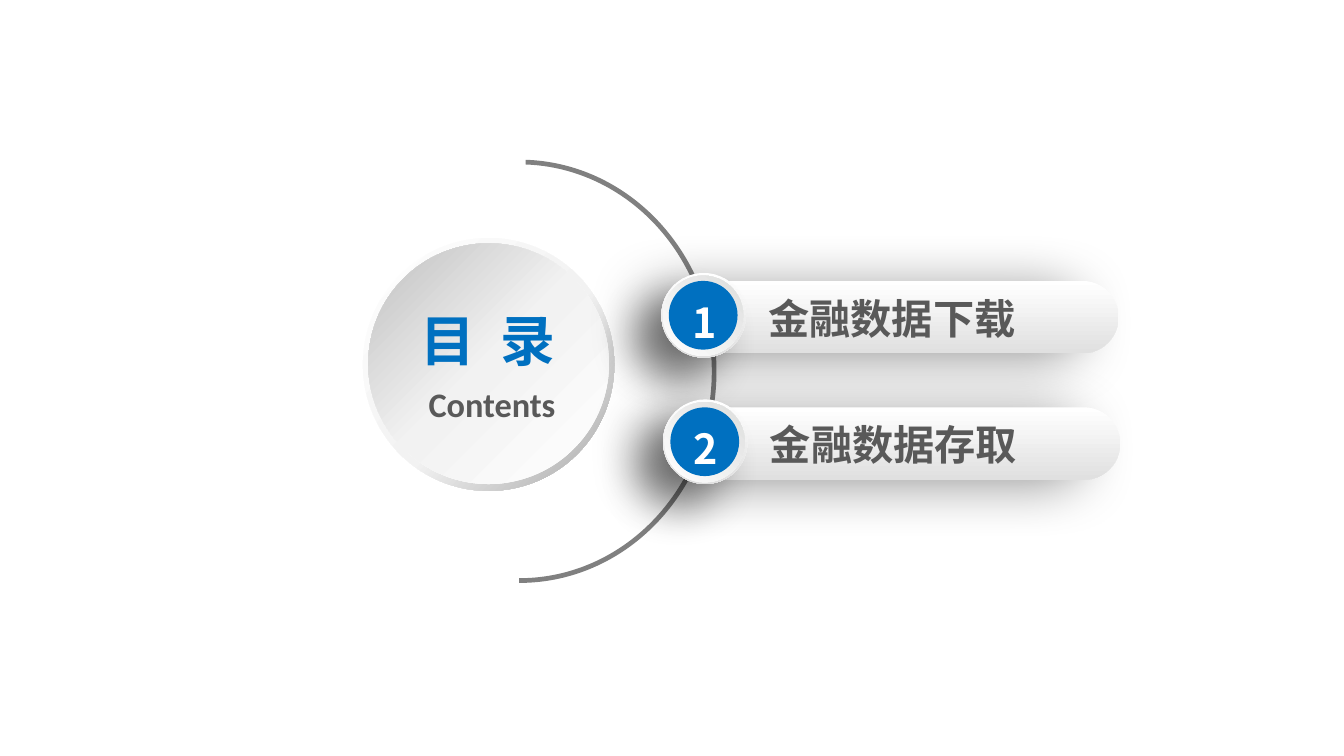
from dataclasses import dataclass

from lxml import etree
from pptx import Presentation
from pptx.dml.color import RGBColor
from pptx.enum.shapes import MSO_SHAPE
from pptx.enum.text import MSO_ANCHOR, MSO_AUTO_SIZE, PP_ALIGN
from pptx.oxml.ns import qn
from pptx.util import Cm, Pt

ELLIPSE = MSO_SHAPE.OVAL
DONUT = MSO_SHAPE.DONUT
PILL = MSO_SHAPE.ROUNDED_RECTANGLE
ARC = MSO_SHAPE.BLOCK_ARC
LEFT, CENTER, JUSTIFY = PP_ALIGN.LEFT, PP_ALIGN.CENTER, PP_ALIGN.JUSTIFY

BLACK = RGBColor(0x00, 0x00, 0x00)
WHITE = RGBColor(0xFF, 0xFF, 0xFF)
BLUE = RGBColor(0x00, 0x70, 0xC0)
TEXT_GRAY = RGBColor(0x59, 0x59, 0x59)
ARC_GRAY = RGBColor(0x80, 0x80, 0x80)
PALE = RGBColor(0xF2, 0xF2, 0xF2)
LIGHT = RGBColor(0xE0, 0xE0, 0xE0)
BEVEL_GRAY = RGBColor(0xDD, 0xDE, 0xDD)
HUB_GRAY = RGBColor(0xBF, 0xBF, 0xBF)
RING_GRAY = RGBColor(0xA6, 0xA6, 0xA6)

CJK_FONT = "Noto Sans CJK SC"
ROW_SHIFT = (0.03, 2.39)
FRAME_FORMAT = {
    "margin_left": Cm(0.25),
    "margin_right": Cm(0.25),
    "margin_top": 0,
    "margin_bottom": 0,
    "vertical_anchor": MSO_ANCHOR.MIDDLE,
    "auto_size": MSO_AUTO_SIZE.NONE,
}


@dataclass(frozen=True)
class Box:
    """A rectangle in centimetres."""
    left: float
    top: float
    width: float
    height: float

    def shifted(self, steps: int) -> "Box":
        return Box(self.left + steps * ROW_SHIFT[0], self.top + steps * ROW_SHIFT[1],
                   self.width, self.height)

    def lengths(self) -> tuple:
        return Cm(self.left), Cm(self.top), Cm(self.width), Cm(self.height)


@dataclass(frozen=True)
class Gradient:
    """Stops as (percent, colour); the angle runs clockwise in degrees."""
    stops: tuple
    angle: int


@dataclass(frozen=True)
class Shadow:
    blur: int
    distance: int
    angle: int
    opacity: int = 40


@dataclass(frozen=True)
class Figure:
    kind: MSO_SHAPE
    box: Box
    fill: RGBColor | Gradient
    adjustments: tuple = ()
    shadow: Shadow | None = None
    rotation: int = 0


@dataclass(frozen=True)
class TextStyle:
    font: str
    size: float
    color: RGBColor
    alignment: PP_ALIGN


TOP_LIGHT = Gradient(((0, WHITE), (100, LIGHT)), 90)
TRACK = Figure(ARC, Box(5.82, 3.3, 8, 7.44), ARC_GRAY, (108.972, 0.07, 0.012), rotation=90)
HUB_FIGURES = (
    Figure(DONUT, Box(6.86, 4.5, 4.75, 4.78),
           Gradient(((0, WHITE), (55, PALE), (100, RING_GRAY)), 45), (0.049,)),
    Figure(ELLIPSE, Box(6.96, 4.6, 4.55, 4.55),
           Gradient(((0, WHITE), (51, PALE), (100, HUB_GRAY)), 225)),
)
ROW_FIGURES = (
    Figure(PILL, Box(12.78, 5.31, 8.36, 1.37), TOP_LIGHT, (0.5,), Shadow(30, 20, 171)),
    Figure(ELLIPSE, Box(12.5, 5.16, 1.6, 1.6), TOP_LIGHT, shadow=Shadow(22, 20, 135)),
    Figure(ELLIPSE, Box(12.53, 5.21, 1.52, 1.52),
           Gradient(((0, WHITE), (100, BEVEL_GRAY)), 315)),
    Figure(ELLIPSE, Box(12.64, 5.31, 1.3, 1.3), BLUE),
)
NUMBER_BOX = Box(12.78, 5.49, 1.07, 1.19)
ENTRY_BOX = Box(14.27, 5.41, 6.1, 1.19)
TITLE_BOX = Box(7.57, 5.66, 3.3, 1.5)
SUBTITLE_BOX = Box(7.85, 7.11, 4.42, 1.04)

TITLE_STYLE = TextStyle(CJK_FONT, 29.4, BLUE, CENTER)
SUBTITLE_STYLE = TextStyle("Calibri", 18.4, TEXT_GRAY, LEFT)
NUMBER_STYLE = TextStyle(CJK_FONT, 22.1, WHITE, CENTER)
ENTRY_STYLE = TextStyle("Arial", 22.1, TEXT_GRAY, JUSTIFY)
ENTRIES = ("金融数据下载", "金融数据存取")


def add_node(parent, tag: str, **attributes):
    values = {name: str(value) for name, value in attributes.items()}
    return etree.SubElement(parent, qn(tag), values)


def apply_gradient(shape, gradient: Gradient) -> None:
    properties = shape._element.spPr
    fill = add_node(properties, "a:gradFill", rotWithShape=1)
    stops = add_node(fill, "a:gsLst")
    for percent, color in gradient.stops:
        stop = add_node(stops, "a:gs", pos=percent * 1000)
        add_node(stop, "a:srgbClr", val=color)
    add_node(fill, "a:lin", ang=gradient.angle * 60000, scaled=0)
    properties.find(qn("a:prstGeom")).addnext(fill)


def apply_shadow(shape, shadow: Shadow) -> None:
    effects = shape._element.spPr.find(qn("a:effectLst"))
    outer = add_node(effects, "a:outerShdw", blurRad=Pt(shadow.blur), dist=Pt(shadow.distance),
                     dir=shadow.angle * 60000, algn="ctr", rotWithShape=0)
    color = add_node(outer, "a:srgbClr", val=BLACK)
    add_node(color, "a:alpha", val=shadow.opacity * 1000)


def draw_figure(slide, figure: Figure, steps: int = 0) -> None:
    shape = slide.shapes.add_shape(figure.kind, *figure.box.shifted(steps).lengths())
    shape.rotation = figure.rotation
    for index, value in enumerate(figure.adjustments):
        shape.adjustments[index] = value
    shape.line.fill.background()
    shape.shadow.inherit = False
    if isinstance(figure.fill, Gradient):
        apply_gradient(shape, figure.fill)
    else:
        shape.fill.solid()
        shape.fill.fore_color.rgb = figure.fill
    if figure.shadow:
        apply_shadow(shape, figure.shadow)


def write_text(shape, text: str, style: TextStyle) -> None:
    frame = shape.text_frame
    frame.word_wrap = True
    for name, value in FRAME_FORMAT.items():
        setattr(frame, name, value)
    paragraph = frame.paragraphs[0]
    paragraph.alignment = style.alignment
    paragraph.line_spacing = 1.0
    run = paragraph.add_run()
    run.text = text
    for name, value in {"name": style.font, "size": Pt(style.size), "bold": True}.items():
        setattr(run.font, name, value)
    run.font.color.rgb = style.color
    add_node(run.font._element, "a:ea", typeface=CJK_FONT)


def draw_text(slide, box: Box, text: str, style: TextStyle) -> None:
    write_text(slide.shapes.add_textbox(*box.lengths()), text, style)


def place_title(slide, text: str) -> None:
    """Fill the title placeholder and lift it above the hub."""
    title = slide.shapes.title
    title.left, title.top, title.width, title.height = TITLE_BOX.lengths()
    write_text(title, text, TITLE_STYLE)
    slide.shapes._spTree.append(title._element)


def draw_row(slide, index: int, entry: str) -> None:
    for figure in ROW_FIGURES:
        draw_figure(slide, figure, index)
    draw_text(slide, NUMBER_BOX.shifted(index), str(index + 1), NUMBER_STYLE)
    draw_text(slide, ENTRY_BOX.shifted(index), entry, ENTRY_STYLE)


def main() -> None:
    presentation = Presentation()
    presentation.slide_width, presentation.slide_height = Cm(25.4), Cm(14.29)
    slide = presentation.slides.add_slide(presentation.slide_layouts[5])
    draw_figure(slide, TRACK)
    for figure in HUB_FIGURES:
        draw_figure(slide, figure)
    place_title(slide, "目  录")
    draw_text(slide, SUBTITLE_BOX, "Contents", SUBTITLE_STYLE)
    for index, entry in enumerate(ENTRIES):
        draw_row(slide, index, entry)
    presentation.save("out.pptx")


if __name__ == "__main__":
    main()
